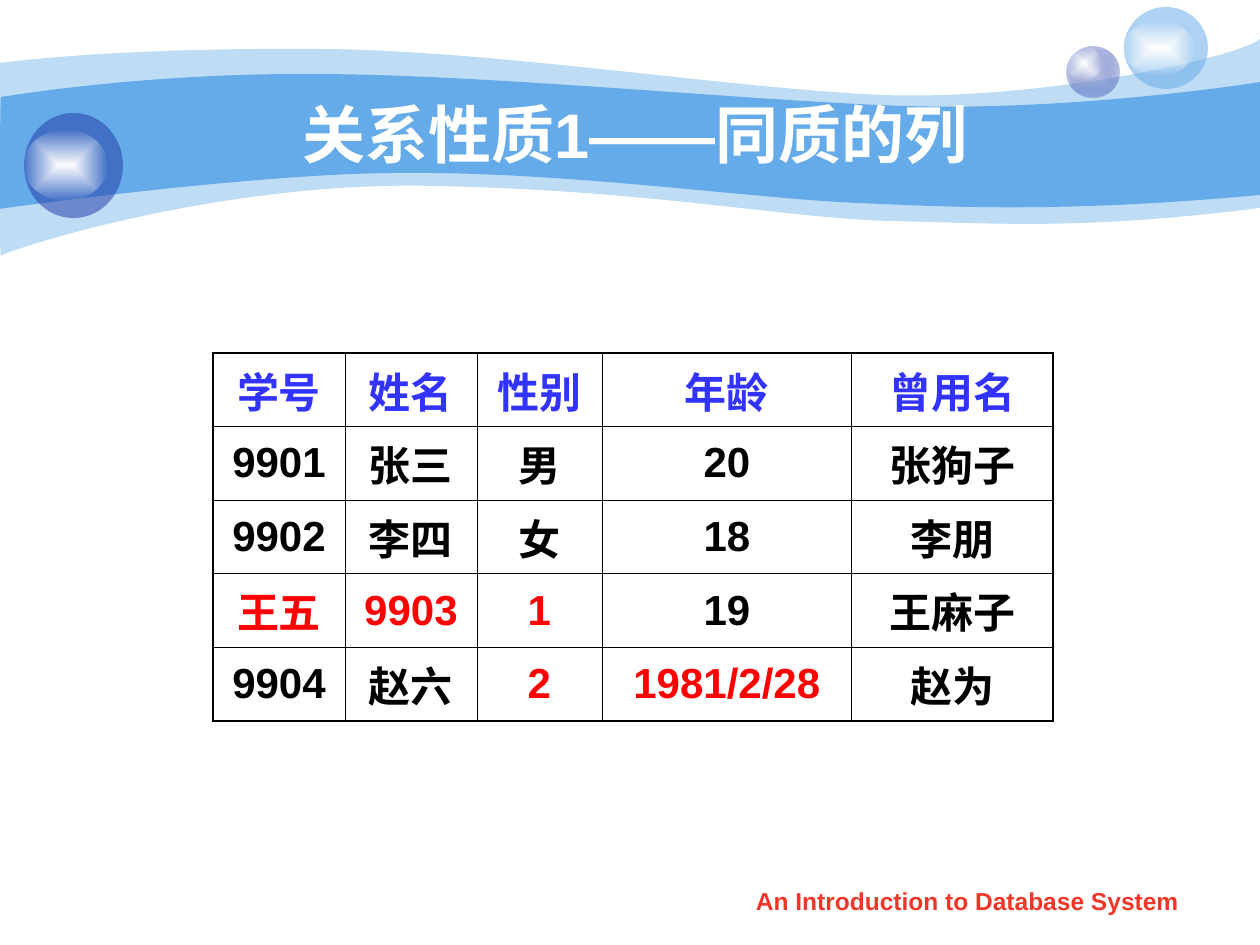
import pptx
import pptx.dml.color
import pptx.enum.shapes
import pptx.enum.text
import pptx.oxml
import pptx.oxml.ns
import pptx.util

PX = 7257.14
NS = 'xmlns:a="http://schemas.openxmlformats.org/drawingml/2006/main"'
RGBColor = pptx.dml.color.RGBColor
WHITE = RGBColor(0xFF, 0xFF, 0xFF)
BLACK = RGBColor(0x00, 0x00, 0x00)
RED = RGBColor(0xFF, 0x00, 0x00)
HEADER_BLUE = RGBColor(0x33, 0x33, 0xFF)
SKY = RGBColor(0x65, 0xAA, 0xE9)
NAVY = RGBColor(0x23, 0x3D, 0xA9)
LAVENDER = RGBColor(0xC7, 0xCE, 0xE9)
FOOTER_RED = RGBColor(0xF0, 0x36, 0x28)
CENTER = pptx.enum.text.PP_ALIGN.CENTER
MIDDLE = pptx.enum.text.MSO_ANCHOR.MIDDLE


def emu(*lengths):
    return [round(length * PX) for length in lengths]


def write(paragraph, text, size, color):
    paragraph.alignment = CENTER
    run = paragraph.add_run()
    run.text = text
    run.font.name = "Arial"
    run.font.size = pptx.util.Pt(size)
    run.font.bold = True
    run.font.color.rgb = color


deck = pptx.Presentation()
deck.slide_width, deck.slide_height = emu(1260, 945)
slide = deck.slides.add_slide(deck.slide_layouts[5])

bands = [
    (41, (0, 63), [
        [(30, 59), (135, 48), (311, 49)],
        [(486, 49), (725, 88), (881, 95)],
        [(1036, 101), (1235, 59), (1260, 39)],
        [(1260, 95), (1260, 152), (1260, 208)],
        [(1079, 231), (992, 223), (888, 221)],
        [(784, 218), (649, 190), (432, 186)],
        [(217, 181), (5, 251), (1, 256)],
        [(-1, 262), (0, 95), (0, 63)],
    ]),
    (100, (1, 97), [
        [(3, 97), (139, 73), (312, 74)],
        [(486, 74), (750, 101), (905, 106)],
        [(1060, 111), (1230, 87), (1260, 82)],
        [(1260, 120), (1260, 157), (1260, 195)],
        [(1075, 212), (964, 208), (859, 203)],
        [(755, 199), (563, 171), (399, 173)],
        [(256, 173), (-3, 209), (-1, 209)],
        [(0, 209), (0, 97), (1, 97)],
    ]),
]
for opacity, start, curves in bands:
    builder = slide.shapes.build_freeform(*start, scale=PX)
    builder.add_line_segments([curve[-1] for curve in curves], close=True)
    band = builder.convert_to_shape()
    left = min(curve[-1][0] for curve in curves)
    top = min(curve[-1][1] for curve in curves)
    segments = list(band._element.iter(pptx.oxml.ns.qn("a:lnTo")))
    for segment, curve in zip(segments, curves):
        points = "".join(f'<a:pt x="{x - left}" y="{y - top}"/>' for x, y in curve)
        segment.getparent().replace(segment, pptx.oxml.parse_xml(
            f'<a:cubicBezTo {NS}>{points}</a:cubicBezTo>'))
    band.shadow.inherit = False
    band.line.fill.background()
    band.fill.solid()
    band.fill.fore_color.rgb = SKY
    if opacity < 100:
        color = band._element.spPr.find(".//" + pptx.oxml.ns.qn("a:srgbClr"))
        color.append(pptx.oxml.parse_xml(f'<a:alpha {NS} val="{opacity * 1000}"/>'))

bubbles = [
    ((1067, 47, 53, 51), (1067, 47, 35, 34), LAVENDER, 100, NAVY, 31),
    ((1124, 7, 84, 82), (1124, 21, 70, 54), SKY, 53, SKY, 53),
    ((24, 113, 99, 105), (24, 130, 83, 70), NAVY, 53, NAVY, 53),
]
for body_box, shine_box, core, core_opacity, rim, rim_opacity in bubbles:
    bubble = slide.shapes.add_group_shape()
    layers = [(body_box, core, core_opacity, rim, rim_opacity),
              (shine_box, WHITE, 100, WHITE, 0)]
    for box, inner, inner_opacity, outer, outer_opacity in layers:
        layer = bubble.shapes.add_shape(pptx.enum.shapes.MSO_SHAPE.OVAL, *emu(*box))
        layer.shadow.inherit = False
        layer.line.fill.background()
        layer.fill.solid()
        layer.fill.fore_color.rgb = inner
        solid = layer._element.spPr.find(pptx.oxml.ns.qn("a:solidFill"))
        if inner_opacity == outer_opacity:
            solid[0].append(pptx.oxml.parse_xml(
                f'<a:alpha {NS} val="{inner_opacity * 1000}"/>'))
            continue
        stops = "".join(
            f'<a:gs pos="{pos}"><a:srgbClr val="{tone}"><a:alpha val="{opacity * 1000}"/>'
            '</a:srgbClr></a:gs>'
            for pos, tone, opacity in ((0, inner, inner_opacity),
                                       (100000, outer, outer_opacity)))
        solid.getparent().replace(solid, pptx.oxml.parse_xml(
            f'<a:gradFill {NS} rotWithShape="1"><a:gsLst>{stops}</a:gsLst><a:path path="rect">'
            '<a:fillToRect l="50000" t="50000" r="50000" b="50000"/></a:path></a:gradFill>'))

footer = slide.shapes.add_textbox(*emu(719, 880, 497, 44)).text_frame
footer.word_wrap = True
write(footer.paragraphs[0], "An Introduction to Database System", 14, FOOTER_RED)

title = slide.shapes.title
title.left, title.top, title.width, title.height = emu(126, 94, 1018, 78)
title.text_frame.auto_size = pptx.enum.text.MSO_AUTO_SIZE.NONE
title.text_frame.vertical_anchor = MIDDLE
write(title.text_frame.paragraphs[0], "关系性质1——同质的列", 36, WHITE)
slide.shapes._spTree.append(title._element)

students = [
    ["学号", "姓名", "性别", "年龄", "曾用名"],
    ["9901", "张三", "男", "20", "张狗子"],
    ["9902", "李四", "女", "18", "李朋"],
    ["王五", "9903", "1", "19", "王麻子"],
    ["9904", "赵六", "2", "1981/2/28", "赵为"],
]
wrong_values = {(3, 0), (3, 1), (3, 2), (4, 2), (4, 3)}
column_widths = [132, 132, 125, 250, 201]
last = len(students) - 1
table = slide.shapes.add_table(5, 5, *emu(213, 353, 840, 315)).table
table.first_row = False
table.horz_banding = False
for column, width in zip(table.columns, emu(*column_widths)):
    column.width = width
for r, student in enumerate(students):
    table.rows[r].height = emu(63)[0]
    for c, value in enumerate(student):
        cell = table.cell(r, c)
        cell.vertical_anchor = MIDDLE
        outer_sides = {"L": c == 0, "R": c == last, "T": r == 0, "B": r == last}
        for side, outer in outer_sides.items():
            width = pptx.util.Pt(1.08 if outer else 0.45)
            cell._tc.get_or_add_tcPr().append(pptx.oxml.parse_xml(
                f'<a:ln{side} {NS} w="{width}"><a:solidFill><a:srgbClr val="{BLACK}"/>'
                f'</a:solidFill></a:ln{side}>'))
        cell.fill.background()
        color = HEADER_BLUE if r == 0 else RED if (r, c) in wrong_values else BLACK
        write(cell.text_frame.paragraphs[0], value, 24, color)

deck.save("out.pptx")
